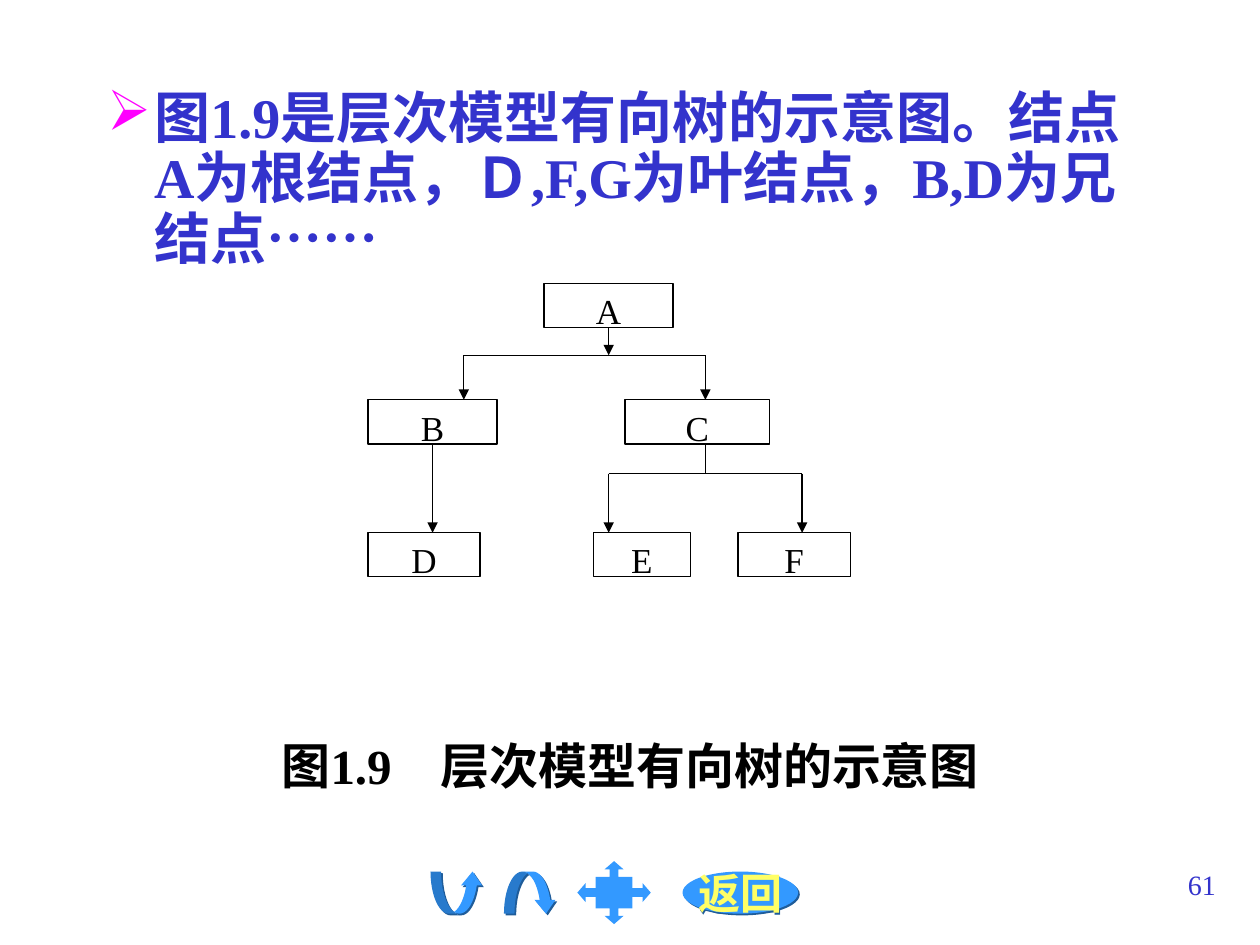
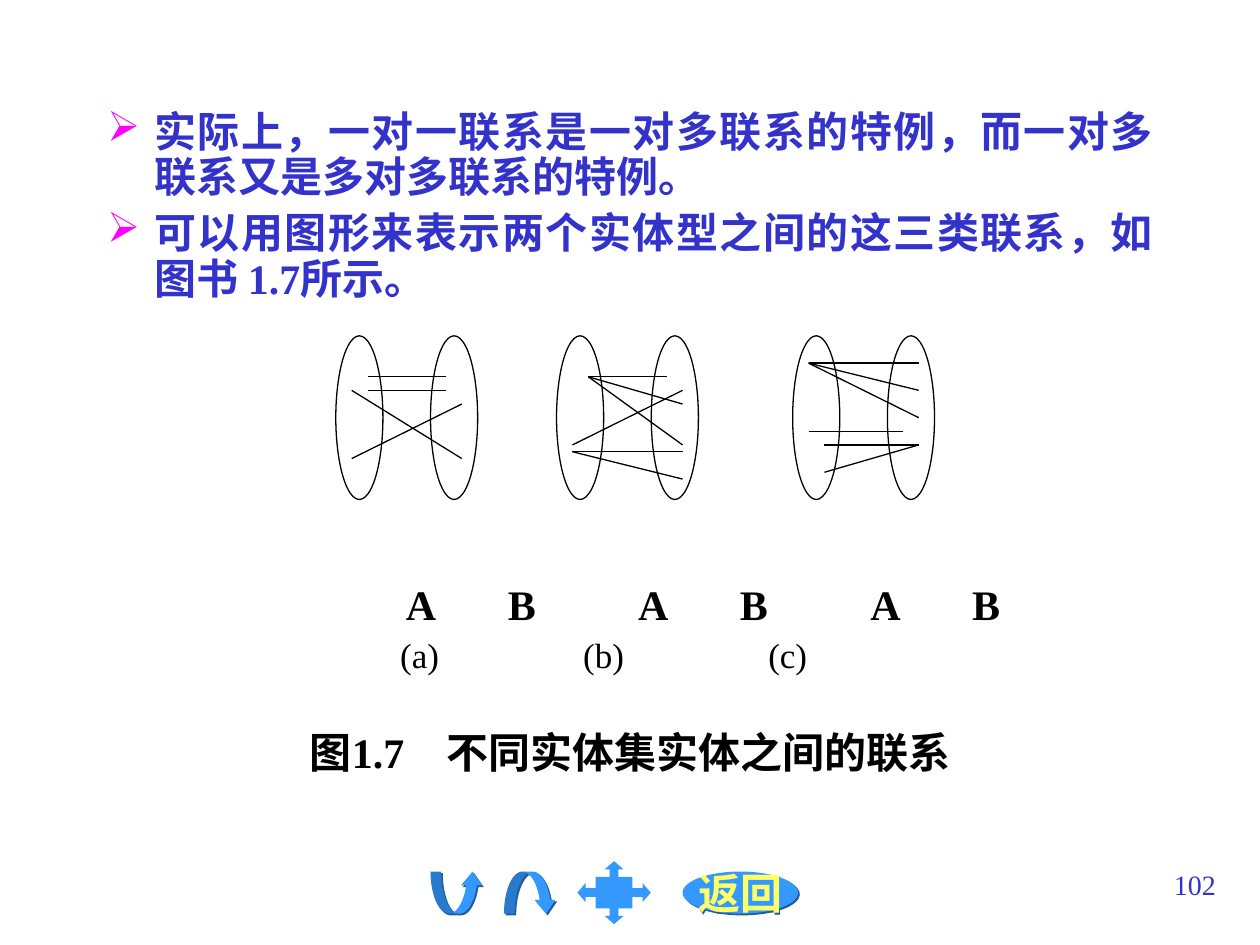
from typing import NamedTuple, Optional

import lxml.etree
import pptx
import pptx.dml.color
import pptx.enum.shapes
import pptx.enum.text
import pptx.oxml.ns
import pptx.util

Cm = pptx.util.Cm
Pt = pptx.util.Pt
RGBColor = pptx.dml.color.RGBColor
SHAPE = pptx.enum.shapes.MSO_SHAPE
ALIGN = pptx.enum.text.PP_ALIGN
ANCHOR = pptx.enum.text.MSO_ANCHOR
qn = pptx.oxml.ns.qn

FONT = "Times New Roman"
BLACK = RGBColor(0x00, 0x00, 0x00)
WHITE = RGBColor(0xFF, 0xFF, 0xFF)
TEXT_BLUE = RGBColor(0x33, 0x33, 0xCC)
BULLET_PINK = RGBColor(0xFF, 0x00, 0xFF)
NAV_BLUE = RGBColor(0x33, 0x99, 0xFF)
NAV_SHADOW = RGBColor(0x1F, 0x5C, 0x99)
NAV_YELLOW = RGBColor(0xFF, 0xFF, 0x66)

LINE_WIDTH = Pt(0.75)
BODY_LEFT, BODY_WIDTH = 1.91, 21.59
HANGING = Cm(0.95)


class Box(NamedTuple):
    left: float
    top: float
    width: float
    height: float


class Style(NamedTuple):
    size: float
    color: RGBColor = BLACK
    bold: bool = False
    align: ALIGN = ALIGN.CENTER


class NavButton(NamedTuple):
    kind: SHAPE
    box: Box
    adjustments: tuple = ()
    shadow: bool = True
    text: str = ""


class Node(NamedTuple):
    name: str
    left: float
    top: float
    width: float


class Edge(NamedTuple):
    x1: float
    y1: float
    x2: float
    y2: float
    arrow: bool = False
    start: Optional[str] = None


class Link(NamedTuple):
    """A line from set A to set B; levels count twelfths of the oval's height."""
    x1: float
    level1: float
    x2: float
    level2: float


class Relation(NamedTuple):
    label: str
    left: float
    links: tuple


NAV_BUTTONS = (
    NavButton(SHAPE.CURVED_UP_ARROW, Box(8.68, 17.57, 1.06, 0.85), (0.25, 0.5, 0.33)),
    NavButton(SHAPE.CURVED_DOWN_ARROW, Box(10.16, 17.57, 1.06, 0.85), (0.25, 0.5, 0.33)),
    NavButton(SHAPE.OVAL, Box(13.76, 17.57, 2.33, 0.85), text="返回"),
    NavButton(SHAPE.QUAD_ARROW_CALLOUT, Box(11.64, 17.36, 1.48, 1.27),
              (0.14, 0.15, 0.13, 0.5), shadow=False),
)
NAV_STYLE = Style(24, NAV_YELLOW, bold=True)
PAGE_BOX = Box(19.47, 17.36, 5.29, 1.27)
PAGE_STYLE = Style(16, TEXT_BLUE, align=ALIGN.RIGHT)

# Tree: three rows of nodes and two horizontal branches
ROW_1, ROW_2, ROW_3 = 5.71, 8.06, 10.74
NODE_HEIGHT = 0.89
BRANCH_1, BRANCH_2 = 7.16, 9.55
X_B, X_D, X_A, X_C, X_F = 9.35, 8.72, 12.27, 14.22, 16.17
NODES = (
    Node("A", 10.97, ROW_1, 2.6),
    Node("B", 7.42, ROW_2, 2.6),
    Node("C", 12.6, ROW_2, 2.92),
    Node("D", 7.42, ROW_3, 2.26),
    Node("E", 11.96, ROW_3, 1.96),
    Node("F", 14.88, ROW_3, 2.26),
)
EDGES = (
    Edge(X_A, ROW_1 + NODE_HEIGHT, X_A, BRANCH_1, True, start="A"),
    Edge(X_B, BRANCH_1, X_C, BRANCH_1),
    Edge(X_B, BRANCH_1, X_B, ROW_2, True),
    Edge(X_C, BRANCH_1, X_C, ROW_2, True),
    Edge(X_D, ROW_2 + NODE_HEIGHT, X_D, ROW_3, True, start="B"),
    Edge(X_C, ROW_2 + NODE_HEIGHT, X_C, BRANCH_2),
    Edge(X_A, BRANCH_2, X_F, BRANCH_2),
    Edge(X_A, BRANCH_2, X_A, ROW_3, True),
    Edge(X_F, BRANCH_2, X_F, ROW_3, True),
)

# Entity sets: oval pairs with links between two columns in each oval
OVAL_TOP, OVAL_WIDTH, OVAL_HEIGHT, OVAL_PITCH = 6.77, 0.95, 3.3, 1.91
LEVEL = OVAL_HEIGHT / 12
A_LEFT, A_RIGHT, B_LEFT, B_RIGHT = 0.32, 0.64, 2.22, 2.54
RELATIONS = (
    Relation("(a)", 6.77, (
        Link(A_RIGHT, 3, B_LEFT, 3), Link(A_RIGHT, 4, B_LEFT, 4),
        Link(A_LEFT, 4, B_RIGHT, 9), Link(A_LEFT, 9, B_RIGHT, 5))),
    Relation("(b)", 11.22, (
        Link(A_RIGHT, 3, B_LEFT, 3), Link(A_RIGHT, 3, B_RIGHT, 5),
        Link(A_RIGHT, 3, B_RIGHT, 8), Link(A_LEFT, 8, B_RIGHT, 4),
        Link(A_LEFT, 8.5, B_RIGHT, 8.5), Link(A_LEFT, 8.5, B_RIGHT, 10.5))),
    Relation("(c)", 15.98, (
        Link(A_LEFT, 2, B_RIGHT, 2), Link(A_LEFT, 2, B_RIGHT, 4),
        Link(A_LEFT, 2, B_RIGHT, 6), Link(A_RIGHT, 8, B_RIGHT, 8),
        Link(A_RIGHT, 10, B_RIGHT, 8), Link(A_LEFT, 7, B_LEFT, 7))),
)
SET_NAMES = ("A", "B")
SET_LABEL_X, SET_LABEL_Y = 8.49, 12.17
SET_LABEL_STEP, PAIR_LABEL_STEP = 2.03, 4.68
PART_LABEL_X, PART_LABEL_Y, PART_LABEL_STEP = 8.46, 13.2, 3.71
LABEL_WIDTH, LABEL_HEIGHT = 1.6, 1.0


def lengths(box: Box) -> list:
    return [Cm(value) for value in box]


def add_run(p, text: str, style: Style) -> None:
    p.alignment = style.align
    r = p.add_run()
    r.text = text
    r.font.name = FONT
    r.font.size = Pt(style.size)
    r.font.bold = style.bold
    r.font.color.rgb = style.color


def add_text(slide, box: Box, text: str, style: Style, anchor=ANCHOR.MIDDLE) -> None:
    tf = slide.shapes.add_textbox(*lengths(box)).text_frame
    tf.word_wrap = True
    tf.vertical_anchor = anchor
    add_run(tf.paragraphs[0], text, style)


def add_label(slide, x: float, y: float, text: str, style: Style) -> None:
    """Centre a short label on the point (x, y)."""
    box = Box(x - LABEL_WIDTH / 2, y - LABEL_HEIGHT / 2, LABEL_WIDTH, LABEL_HEIGHT)
    add_text(slide, box, text, style)


def add_caption(slide, top: float, text: str, size: float) -> None:
    add_text(slide, Box(BODY_LEFT, top, BODY_WIDTH, 1.5), text, Style(size, bold=True))


def add_shape(slide, kind: SHAPE, box: Box, fill: Optional[RGBColor] = None,
              line: Optional[RGBColor] = None):
    sp = slide.shapes.add_shape(kind, *lengths(box))
    sp.shadow.inherit = False
    if fill is None:
        sp.fill.background()
    else:
        sp.fill.solid()
        sp.fill.fore_color.rgb = fill
    if line is None:
        sp.line.fill.background()
    else:
        sp.line.color.rgb = line
        sp.line.width = LINE_WIDTH
    return sp


def add_line(slide, x1: float, y1: float, x2: float, y2: float, arrow: bool = False):
    cxn = slide.shapes.add_connector(pptx.enum.shapes.MSO_CONNECTOR.STRAIGHT,
                                     Cm(x1), Cm(y1), Cm(x2), Cm(y2))
    cxn.line.color.rgb = BLACK
    cxn.line.width = LINE_WIDTH
    sppr = cxn.element.spPr
    if arrow:
        lxml.etree.SubElement(sppr.find(qn("a:ln")), qn("a:tailEnd"), type="triangle")
    lxml.etree.SubElement(sppr, qn("a:effectLst"))
    return cxn


def add_hard_shadow(sp) -> None:
    effects = sp.element.spPr.find(qn("a:effectLst"))
    shadow = lxml.etree.SubElement(effects, qn("a:outerShdw"), blurRad="0",
                                   dist=str(Pt(1.4)), dir="2700000",
                                   algn="ctr", rotWithShape="0")
    lxml.etree.SubElement(shadow, qn("a:srgbClr"), val=str(NAV_SHADOW))


def add_bullets(slide, box: Box, texts: tuple, style: Style, space_before: float) -> None:
    tf = slide.shapes.add_textbox(*lengths(box)).text_frame
    tf.word_wrap = True
    for i, text in enumerate(texts):
        p = tf.add_paragraph() if i else tf.paragraphs[0]
        add_run(p, text, style)
        p.line_spacing = 0.9
        p.space_before = Pt(space_before)
        ppr = p._p.get_or_add_pPr()
        ppr.set("marL", str(HANGING))
        ppr.set("indent", str(-HANGING))
        color = lxml.etree.SubElement(ppr, qn("a:buClr"))
        lxml.etree.SubElement(color, qn("a:srgbClr"), val=str(BULLET_PINK))
        lxml.etree.SubElement(ppr, qn("a:buChar"), char="➢")


def new_slide(prs, page: str):
    """Add a blank slide with the navigation buttons and page number."""
    slide = prs.slides.add_slide(prs.slide_layouts[6])
    for button in NAV_BUTTONS:
        sp = add_shape(slide, button.kind, button.box, NAV_BLUE)
        for i, value in enumerate(button.adjustments):
            sp.adjustments[i] = value
        if button.shadow:
            add_hard_shadow(sp)
        if button.text:
            tf = sp.text_frame
            tf.word_wrap = False
            tf.vertical_anchor = ANCHOR.MIDDLE
            add_run(tf.paragraphs[0], button.text, NAV_STYLE)
    add_text(slide, PAGE_BOX, page, PAGE_STYLE, ANCHOR.TOP)
    return slide


def build_tree_slide(prs) -> None:
    slide = new_slide(prs, "61")
    add_bullets(slide, Box(BODY_LEFT, 1.69, BODY_WIDTH, 4),
                ("图1.9是层次模型有向树的示意图。结点A为根结点，Ｄ,F,G为叶结点，B,D为兄结点……",),
                Style(32, TEXT_BLUE, True, ALIGN.LEFT), 8)
    boxes = {}
    for node in NODES:
        sp = add_shape(slide, SHAPE.RECTANGLE,
                       Box(node.left, node.top, node.width, NODE_HEIGHT), WHITE, BLACK)
        sp.text_frame.vertical_anchor = ANCHOR.TOP
        add_run(sp.text_frame.paragraphs[0], node.name, Style(20))
        boxes[node.name] = sp
    for edge in EDGES:
        cxn = add_line(slide, edge.x1, edge.y1, edge.x2, edge.y2, edge.arrow)
        if edge.start:
            cxn.begin_connect(boxes[edge.start], 2)
    add_caption(slide, 14.67, "图1.9　层次模型有向树的示意图", 28)


def build_relations_slide(prs) -> None:
    slide = new_slide(prs, "102")
    add_bullets(slide, Box(BODY_LEFT, 2.12, BODY_WIDTH, 4.2),
                ("实际上，一对一联系是一对多联系的特例，而一对多联系又是多对多联系的特例。",
                 "可以用图形来表示两个实体型之间的这三类联系，如图书 1.7所示。"),
                Style(24, TEXT_BLUE, True, ALIGN.JUSTIFY), 6)
    for i, relation in enumerate(RELATIONS):
        for j, name in enumerate(SET_NAMES):
            add_shape(slide, SHAPE.OVAL, Box(relation.left + j * OVAL_PITCH, OVAL_TOP,
                                             OVAL_WIDTH, OVAL_HEIGHT), line=BLACK)
            add_label(slide, SET_LABEL_X + i * PAIR_LABEL_STEP + j * SET_LABEL_STEP,
                      SET_LABEL_Y, name, Style(24, bold=True))
        for link in relation.links:
            add_line(slide, relation.left + link.x1, OVAL_TOP + link.level1 * LEVEL,
                     relation.left + link.x2, OVAL_TOP + link.level2 * LEVEL)
        add_label(slide, PART_LABEL_X + i * PART_LABEL_STEP, PART_LABEL_Y,
                  relation.label, Style(20))
    add_caption(slide, 14.41, "图1.7　不同实体集实体之间的联系", 24)


def main() -> None:
    prs = pptx.Presentation()
    prs.slide_width, prs.slide_height = Cm(25.4), Cm(19.05)
    build_tree_slide(prs)
    build_relations_slide(prs)
    prs.save("out.pptx")


if __name__ == "__main__":
    main()
